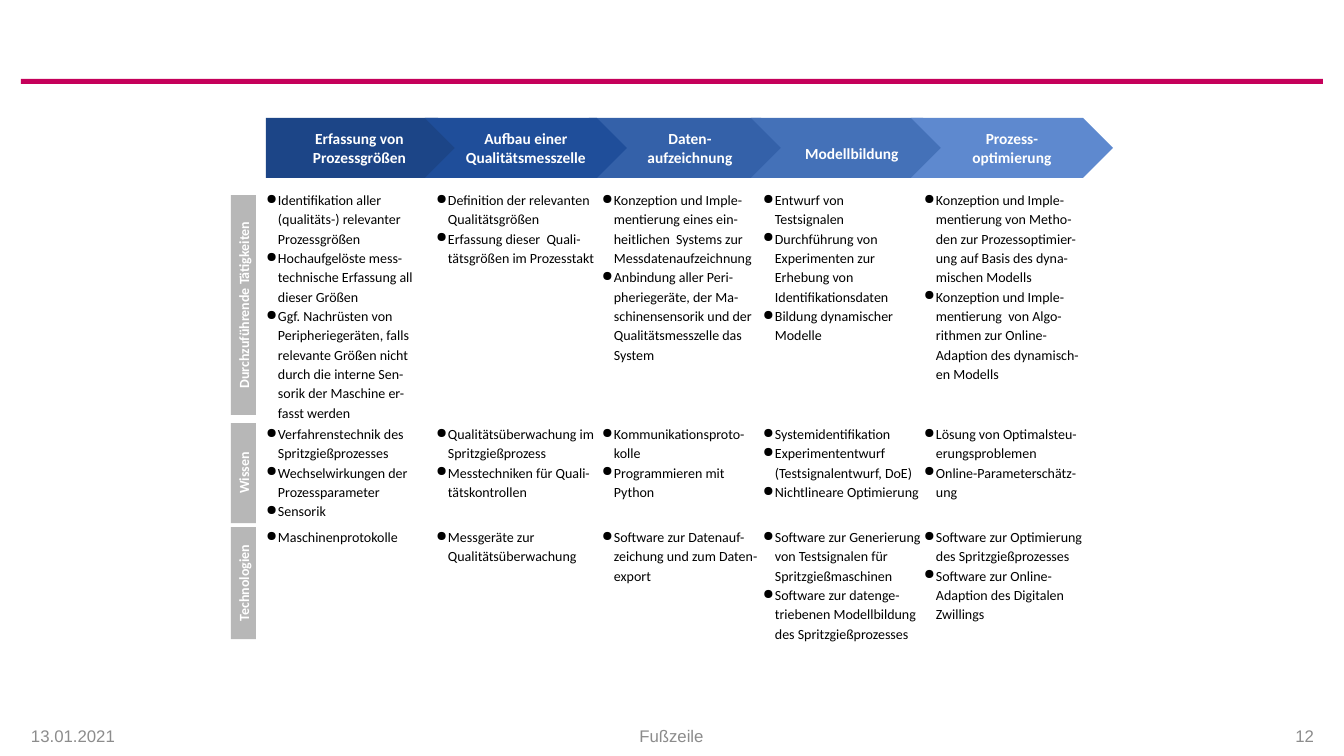
from copy import deepcopy

from lxml import etree
from pptx import Presentation
from pptx import util as u
from pptx.dml.color import RGBColor
from pptx.enum import shapes, text
from pptx.oxml import ns

SCALE = 914400 / 100.8
COLORS = {
    "rule": "C5005A", "footer": "8C8C8C", "bar": "B7B7B7",
    "white": "FFFFFF", "black": "000000",
    "step1": "1C4587", "step2": "1F4E9A", "step3": "3461A9",
    "step4": "4471B8", "step5": "5E89CF",
}
FORMATS = {
    "footer": {"name": "Arial", "size": u.Pt(12)},
    "step": {"name": "Calibri", "size": u.Pt(11), "bold": True},
    "bar": {"name": "Calibri", "size": u.Pt(10), "bold": True},
    "body": {"name": "Calibri", "size": u.Pt(10)},
}
LEFT, CENTER, RIGHT = text.PP_ALIGN.LEFT, text.PP_ALIGN.CENTER, text.PP_ALIGN.RIGHT


def px(n):
    return u.Emu(round(n * SCALE))


class Deck:
    def __init__(self, width, height):
        self.prs = Presentation()
        self.prs.slide_width, self.prs.slide_height = px(width), px(height)
        self.s = self.prs.slides.add_slide(self.prs.slide_layouts[6])

    def label(self, sp, paragraphs, style, color, align, insets, anchor):
        tf = sp.text_frame
        frame = {"word_wrap": True, "vertical_anchor": anchor}
        sides = ("margin_left", "margin_top", "margin_right", "margin_bottom")
        frame.update(zip(sides, map(px, insets)))
        for key, value in frame.items():
            setattr(tf, key, value)
        for i, line in enumerate(paragraphs):
            p = tf.paragraphs[0] if i == 0 else tf.add_paragraph()
            p.text = line
            p.alignment = align
            for r in p.runs:
                for key, value in FORMATS[style].items():
                    setattr(r.font, key, value)
                r.font.color.rgb = RGBColor.from_string(COLORS[color])
            for br in p._p.findall(ns.qn("a:br")):
                br.append(deepcopy(p.runs[0]._r.rPr))
        return tf

    def shape(self, kind, box, color):
        sp = self.s.shapes.add_shape(kind, *map(px, box))
        sp.shadow.inherit = False
        sp.fill.solid()
        sp.fill.fore_color.rgb = RGBColor.from_string(COLORS[color])
        sp.line.fill.background()
        return sp

    def footer(self, box, caption, align):
        sp = self.s.shapes.add_textbox(*map(px, box))
        self.label(sp, [caption], "footer", "footer", align, (10, 5, 10, 5), text.MSO_ANCHOR.MIDDLE)

    def step(self, kind, box, color, caption, insets):
        sp = self.shape(kind, box, color)
        self.label(sp, [caption], "step", "white", CENTER, insets, text.MSO_ANCHOR.MIDDLE)

    def bar(self, left, top, length, thickness, caption):
        box = (left + (thickness - length) / 2, top + (length - thickness) / 2, length, thickness)
        sp = self.shape(shapes.MSO_SHAPE.RECTANGLE, box, "bar")
        sp.rotation = 270
        self.label(sp, [caption], "bar", "white", CENTER, (0, 10, 0, 10), text.MSO_ANCHOR.MIDDLE)

    def bullets(self, box, items, inset):
        sp = self.s.shapes.add_textbox(*map(px, box))
        tf = self.label(sp, items, "body", "black", LEFT, (0, inset, 0, inset), text.MSO_ANCHOR.TOP)
        for p in tf.paragraphs:
            p.line_spacing = 1.15
            pPr = p._p.get_or_add_pPr()
            pPr.set("marL", str(px(12)))
            pPr.set("indent", str(px(-12)))
            tint = etree.SubElement(pPr, ns.qn("a:buClr"))
            etree.SubElement(tint, ns.qn("a:srgbClr")).set("val", COLORS["black"])
            etree.SubElement(pPr, ns.qn("a:buChar")).set("char", "●")


PLATE, CHEVRON = shapes.MSO_SHAPE.PENTAGON, shapes.MSO_SHAPE.CHEVRON
STEPS = [
    (589, CHEVRON, "step3", "Daten-\naufzeichnung", (0, 10, 0, 10)),
    (266, PLATE, "step1", "Erfassung von Prozessgrößen", (10, 10, 10, 10)),
    (425, CHEVRON, "step2", "Aufbau einer Qualitätsmesszelle", (0, 10, 0, 10)),
    (751, CHEVRON, "step4", "Modellbildung", (0, 20, 0, 10)),
    (911, CHEVRON, "step5", "Prozess-\noptimierung", (0, 10, 0, 10)),
]
COLUMNS = (266, 436, 602, 763, 924)
ROWS = [
    ("Durchzuführende Tätigkeiten", 195, 220, 179, 244, 10, (159, 159, 157, 152, 157), [
        ["Identifikation aller (qualitäts-) relevanter Prozessgrößen",
         "Hochaufgelöste mess-\ntechnische Erfassung all dieser Größen",
         "Ggf. Nachrüsten von Peripheriegeräten, falls relevante Größen nicht "
         "durch die interne Sen-\nsorik der Maschine er-\nfasst werden"],
        ["Definition der relevanten Qualitätsgrößen",
         "Erfassung dieser  Quali-\ntätsgrößen im Prozesstakt"],
        ["Konzeption und Imple-\nmentierung eines ein-\nheitlichen  Systems zur Messdatenaufzeichnung",
         "Anbindung aller Peri-\npheriegeräte, der Ma-\nschinensensorik und der "
         "Qualitätsmesszelle das System"],
        ["Entwurf von Testsignalen",
         "Durchführung von Experimenten zur Erhebung von Identifikationsdaten",
         "Bildung dynamischer Modelle"],
        ["Konzeption und Imple-\nmentierung von Metho-\nden zur Prozessoptimier-\n"
         "ung auf Basis des dyna- mischen Modells",
         "Konzeption und Imple-\nmentierung  von Algo- rithmen zur Online-\n"
         "Adaption des dynamisch-\nen Modells"],
    ]),
    ("Wissen", 423, 100, 423, 100, 0, (159,) * 5, [
        ["Verfahrenstechnik des Spritzgießprozesses",
         "Wechselwirkungen der Prozessparameter", "Sensorik"],
        ["Qualitätsüberwachung im Spritzgießprozess",
         "Messtechniken für Quali-\ntätskontrollen"],
        ["Kommunikationsproto-\nkolle", "Programmieren mit Python"],
        ["Systemidentifikation", "Experimententwurf (Testsignalentwurf, DoE)",
         "Nichtlineare Optimierung"],
        ["Lösung von Optimalsteu-\nerungsproblemen", "Online-Parameterschätz-\nung"],
    ]),
    ("Technologien", 527, 112, 526, 112, 0, (159,) * 5, [
        ["Maschinenprotokolle"],
        ["Messgeräte zur Qualitätsüberwachung"],
        ["Software zur Datenauf-\nzeichung und zum Daten-\nexport"],
        ["Software zur Generierung von Testsignalen für Spritzgießmaschinen",
         "Software zur datenge-\ntriebenen Modellbildung des Spritzgießprozesses"],
        ["Software zur Optimierung des Spritzgießprozesses",
         "Software zur Online-Adaption des Digitalen Zwillings"],
    ]),
]
FOOTERS = [(21, 215, "13.01.2021", LEFT), (243, 857, "Fußzeile", CENTER), (1109, 215, "12", RIGHT)]


def main():
    deck = Deck(1344, 756)
    deck.shape(shapes.MSO_SHAPE.RECTANGLE, (21, 79, 1302, 5), "rule")
    for left, width, caption, align in FOOTERS:
        deck.footer((left, 716, width, 39), caption, align)
    for left, kind, color, caption, insets in STEPS:
        deck.step(kind, (left, 118, 202, 60), color, caption, insets)
    for caption, bar_top, length, top, height, inset, widths, cells in ROWS:
        deck.bar(231, bar_top, length, 25, caption)
        for left, width, items in zip(COLUMNS, widths, cells):
            deck.bullets((left, top, width, height), items, inset)
    deck.prs.save("out.pptx")


if __name__ == "__main__":
    main()
